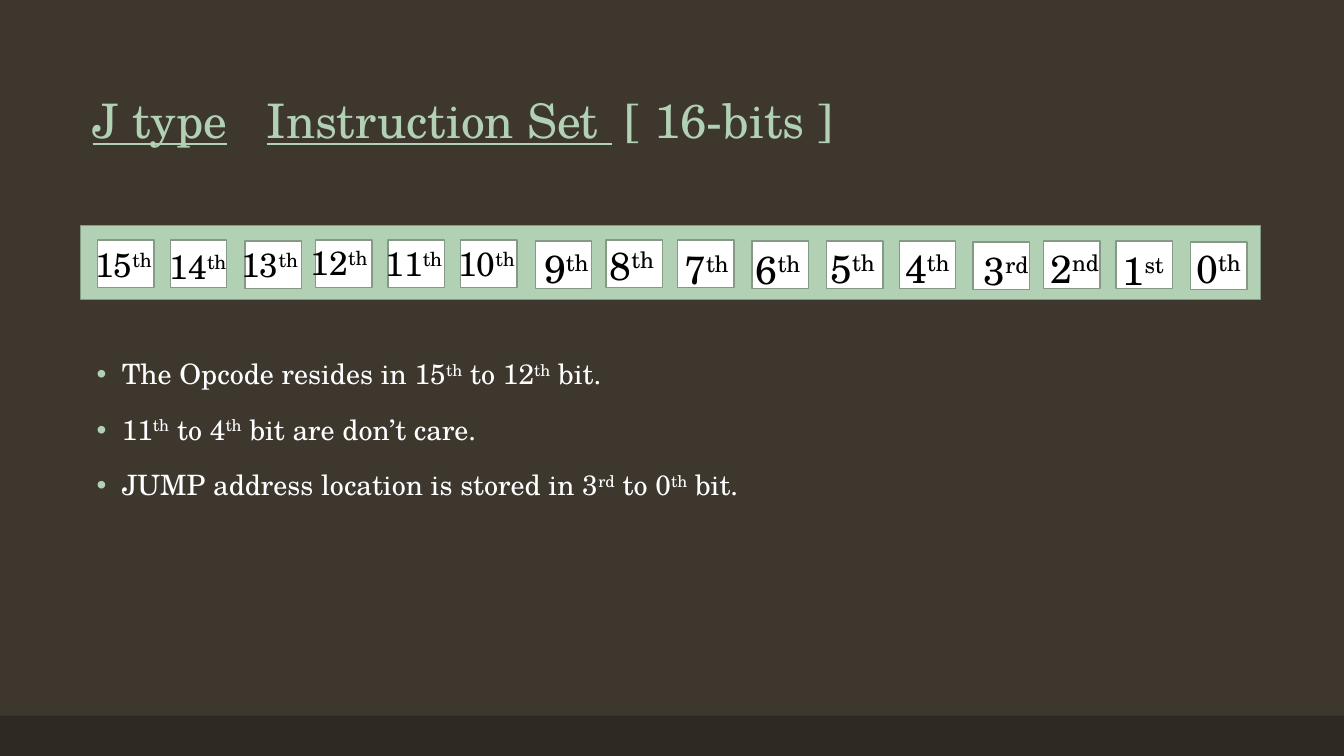
from typing import NamedTuple

from lxml import etree
from pptx import Presentation
from pptx import util as u
from pptx.dml.color import RGBColor
from pptx.enum import shapes, text
from pptx.oxml import ns

PX = 9144
FONT = "TeX Gyre Schola"
COLORS = {
    "background": "3D372E",
    "footer": "2E2923",
    "mint": "B2D0B4",
    "edge": "849A85",
    "white": "FFFFFF",
    "black": "000000",
}


class Box(NamedTuple):
    left: int
    top: int
    width: int
    height: int


class Piece(NamedTuple):
    text: str
    size: int | None = None
    raised: bool = False
    underline: bool | None = None


class Bit(NamedTuple):
    number: int
    suffix: str
    cell_left: int
    cell_top: int
    label: Box


BITS = [
    Bit(15, "th", 97, 238, Box(81, 237, 108, 91)),
    Bit(14, "th", 169, 238, Box(155, 239, 126, 91)),
    Bit(13, "th", 243, 239, Box(226, 237, 126, 91)),
    Bit(12, "th", 313, 238, Box(295, 235, 126, 91)),
    Bit(11, "th", 385, 238, Box(369, 236, 126, 91)),
    Bit(10, "th", 457, 238, Box(441, 236, 126, 91)),
    Bit(9, "th", 531, 239, Box(526, 237, 126, 104)),
    Bit(8, "th", 601, 238, Box(591, 234, 126, 104)),
    Bit(7, "th", 672, 238, Box(665, 238, 126, 104)),
    Bit(6, "th", 746, 239, Box(736, 238, 126, 104)),
    Bit(5, "th", 820, 239, Box(810, 237, 126, 104)),
    Bit(4, "th", 892, 239, Box(884, 237, 126, 151)),
    Bit(3, "rd", 965, 240, Box(962, 239, 126, 151)),
    Bit(2, "nd", 1035, 239, Box(1028, 237, 126, 151)),
    Bit(1, "st", 1107, 239, Box(1100, 239, 126, 151)),
    Bit(0, "th", 1181, 240, Box(1173, 237, 126, 104)),
]

TITLE = [
    Piece("J type", underline=True),
    Piece("\t"),
    Piece("Instruction Set ", underline=True),
    Piece(" [ 16-bits ]"),
]

NOTES = [
    [Piece("The Opcode resides in 15"), Piece("th", raised=True),
     Piece(" to 12"), Piece("th", raised=True), Piece(" bit.")],
    [Piece("11"), Piece("th", raised=True), Piece(" to 4"),
     Piece("th", raised=True), Piece(" bit are don’t care.")],
    [Piece("JUMP address location is stored in 3"), Piece("rd", raised=True),
     Piece(" to 0"), Piece("th", raised=True), Piece(" bit.")],
]


def rgb(color: str) -> RGBColor:
    return RGBColor.from_string(COLORS[color])


def emu(box: Box) -> list[int]:
    return [length * PX for length in box]


def add_rect(s, box: Box, fill: str, line: str | None = None) -> None:
    sp = s.shapes.add_shape(shapes.MSO_SHAPE.RECTANGLE, *emu(box))
    sp.shadow.inherit = False
    sp.fill.solid()
    sp.fill.fore_color.rgb = rgb(fill)
    if line:
        sp.line.color.rgb = rgb(line)
        sp.line.width = u.Pt(1)
    else:
        sp.line.fill.background()


def add_text_frame(s, box: Box):
    tf = s.shapes.add_textbox(*emu(box)).text_frame
    tf.word_wrap = True
    return tf


def write(p, pieces: list[Piece], color: str, size: int | None = None) -> None:
    p.font.name = FONT
    p.font.color.rgb = rgb(color)
    if size:
        p.font.size = u.Pt(size)
    for piece in pieces:
        r = p.add_run()
        r.text = piece.text
        r.font.underline = piece.underline
        if piece.size:
            r.font.size = u.Pt(piece.size)
        if piece.raised:
            r.font._element.set("baseline", "30000")


def add_tab_stop(p, position: int) -> None:
    stops = etree.SubElement(p._p.get_or_add_pPr(), ns.qn("a:tabLst"))
    etree.SubElement(stops, ns.qn("a:tab"), pos=str(position * PX), algn="l")


def add_bullet(p, indent: int) -> None:
    props = p._p.get_or_add_pPr()
    props.set("marL", str(indent * PX))
    props.set("indent", str(-indent * PX))
    color = etree.SubElement(props, ns.qn("a:buClr"))
    etree.SubElement(color, ns.qn("a:srgbClr"), val=COLORS["mint"])
    etree.SubElement(props, ns.qn("a:buFont"), typeface="Arial")
    etree.SubElement(props, ns.qn("a:buChar"), char="•")


def add_title(s) -> None:
    tf = add_text_frame(s, Box(82, 28, 1150, 125))
    tf.vertical_anchor = text.MSO_ANCHOR.BOTTOM
    p = tf.paragraphs[0]
    p.line_spacing = 0.9
    add_tab_stop(p, 173)
    write(p, TITLE, "mint", 34)


def add_notes(s) -> None:
    tf = add_text_frame(s, Box(86, 353, 1150, 476))
    for i, pieces in enumerate(NOTES):
        p = tf.add_paragraph() if i else tf.paragraphs[0]
        p.line_spacing = 0.9
        p.space_before = u.Pt(18)
        add_bullet(p, 25)
        write(p, pieces, "white", 20)


def add_label(s, bit: Bit) -> None:
    lead, size = (9, 24) if bit.number >= 10 else (10, 28)
    pieces = [Piece(" ", lead), Piece(str(bit.number), size),
              Piece(bit.suffix, size, raised=True)]
    write(add_text_frame(s, bit.label).paragraphs[0], pieces, "black")


def main() -> None:
    prs = Presentation()
    prs.slide_width, prs.slide_height = 1333 * PX, 750 * PX
    s = prs.slides.add_slide(prs.slide_layouts[6])
    s.background.fill.solid()
    s.background.fill.fore_color.rgb = rgb("background")
    add_rect(s, Box(0, 710, 1333, 40), "footer")
    add_title(s)
    add_notes(s)
    add_rect(s, Box(80, 224, 1170, 73), "mint", "edge")
    for bit in BITS:
        add_rect(s, Box(bit.cell_left, bit.cell_top, 56, 47), "white", "edge")
    for bit in BITS:
        add_label(s, bit)
    prs.save("out.pptx")


if __name__ == "__main__":
    main()
